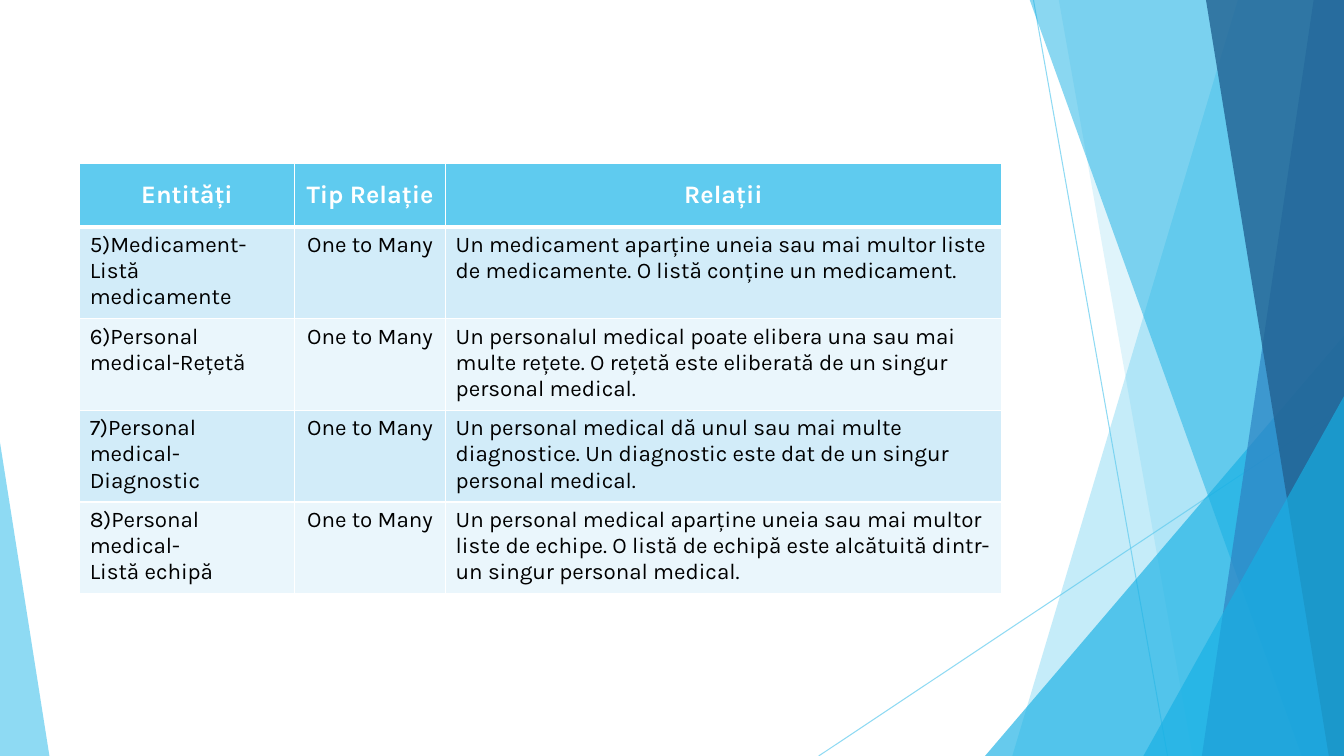
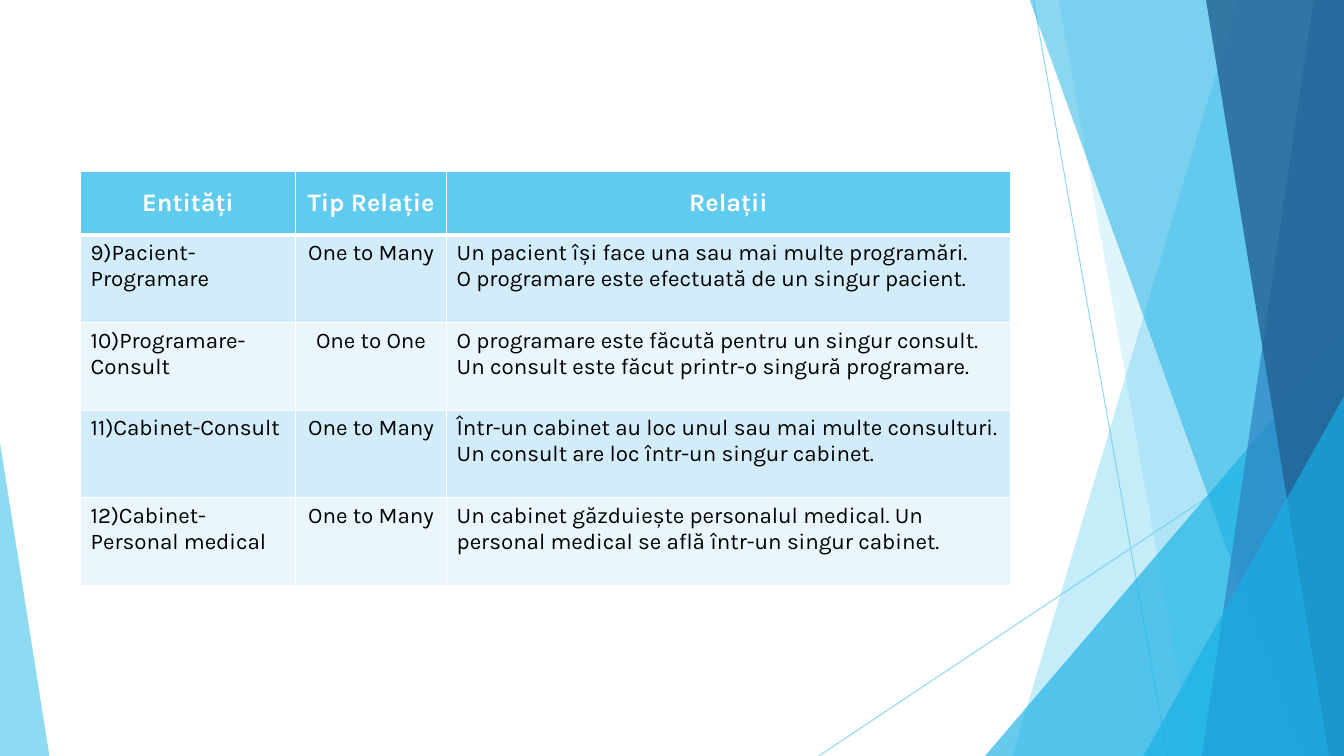
from dataclasses import dataclass

from lxml import etree
from pptx import Presentation
from pptx.dml.color import RGBColor
from pptx.enum.shapes import MSO_CONNECTOR, MSO_SHAPE
from pptx.enum.text import MSO_ANCHOR, PP_ALIGN
from pptx.oxml.ns import qn
from pptx.util import Emu, Pt

TRIANGLE = MSO_SHAPE.ISOSCELES_TRIANGLE
STRAIGHT = MSO_CONNECTOR.STRAIGHT
LEFT, CENTER = PP_ALIGN.LEFT, PP_ALIGN.CENTER
TOP, MIDDLE = MSO_ANCHOR.TOP, MSO_ANCHOR.MIDDLE

PX = 9144  # EMU per px, 100 px to the inch
SLIDE_W, SLIDE_H = 1333, 750
NBSP = chr(160)


@dataclass(frozen=True)
class Theme:
    font: str = "Karla"
    sky: str = "5FCBEF"
    cyan: str = "17B0E4"
    blue: str = "2E83C3"
    navy: str = "226292"
    band_dark: str = "D2ECF9"
    band_light: str = "EAF6FC"
    white: str = "FFFFFF"
    black: str = "000000"
    header_size: int = 18
    body_size: int = 16
    hairline: float = 0.75
    border: int = 1
    header_border: int = 3


THEME = Theme()


@dataclass(frozen=True)
class Ray:
    start: tuple[int, int]
    end: tuple[int, int]


@dataclass(frozen=True)
class Facet:
    """Full-height facet that reaches the right edge of the slide."""
    top_left: int
    bottom_left: int
    color: str
    opacity: int


@dataclass(frozen=True)
class Corner:
    """Right-angled triangle standing on the bottom edge, apex at 0 (left) or 1 (right)."""
    left: int
    top: int
    width: int
    apex: int
    color: str
    opacity: int


@dataclass(frozen=True)
class RelationTable:
    left: int
    top: int
    columns: tuple[int, ...]
    row_height: int
    rows: tuple[tuple[str, str, str], ...]


RAYS = (Ray((1025, 0), (1158, SLIDE_H)), Ray((SLIDE_W, 403), (812, SLIDE_H)))

FACETS = (
    Facet(1228, 1004, THEME.sky, 36),
    Facet(1050, 1183, THEME.sky, 20),
    Corner(977, 333, 356, 1, THEME.cyan, 66),
    Facet(1021, 1291, THEME.cyan, 50),
    Facet(1303, 1192, THEME.blue, 70),
    Facet(1196, 1318, THEME.navy, 80),
    Corner(1134, 393, 199, 1, THEME.cyan, 66),
    Corner(0, 439, 49, 0, THEME.sky, 70),
)

HEADERS = ("Entități", "Tip Relație", "Relații")
HEADER_HEIGHT = 63

TABLES = (
    RelationTable(79, 162, (213, 150, 551), 91, (
        ("5)Medicament-Listă medicamente", "One to Many",
         "Un medicament aparține uneia sau mai multor liste de medicamente. "
         "O listă conține un medicament."),
        ("6)Personal medical-Rețetă", "One to Many",
         "Un personalul medical poate elibera una sau mai multe rețete. "
         "O rețetă este eliberată de un singur personal medical."),
        ("7)Personal medical-Diagnostic", "One to Many",
         "Un personal medical dă unul sau mai multe diagnostice. "
         "Un diagnostic este dat de un singur personal medical."),
        (f"8)Personal medical-Listă{NBSP}echipă", "One to Many",
         "Un personal medical aparține uneia sau mai multor liste de echipe. "
         "O listă de echipă este alcătuită dintr-un singur personal medical."),
    )),
    RelationTable(80, 170, (213, 150, 559), 87, (
        ("9)Pacient-Programare", "One to Many",
         "Un pacient își face una sau mai multe programări.\n"
         "O programare este efectuată de un singur pacient."),
        ("10)Programare-Consult", "One to One",
         "O programare este făcută pentru un singur consult. "
         "Un consult este făcut printr-o singură programare."),
        ("11)Cabinet-Consult", "One to Many",
         "Într-un cabinet au loc unul sau mai multe consulturi. "
         "Un consult are loc într-un singur cabinet."),
        (f"12)Cabinet-Personal{NBSP}medical", "One to Many",
         "Un cabinet găzduiește personalul medical. "
         "Un personal medical se află într-un singur cabinet."),
    )),
)


def px(n: int) -> Emu:
    return Emu(n * PX)


def rgb(color: str) -> RGBColor:
    return RGBColor.from_string(color)


def set_opacity(sp, percent: int) -> None:
    for color in sp.element.iter(qn("a:srgbClr")):
        etree.SubElement(color, qn("a:alpha"), val=str(percent * 1000))


def set_text(tf, text: str, *, size: int, color: str, bold: bool = False,
             align=LEFT) -> None:
    """Write one paragraph for each line of text."""
    for i, line in enumerate(text.split("\n")):
        p = tf.add_paragraph() if i else tf.paragraphs[0]
        p.alignment = align
        r = p.add_run()
        r.text = line
        r.font.name = THEME.font
        r.font.size = Pt(size)
        r.font.bold = bold
        r.font.color.rgb = rgb(color)


def draw_ray(shapes, ray: Ray):
    sp = shapes.add_connector(STRAIGHT, *map(px, ray.start + ray.end))
    sp.line.color.rgb = rgb(THEME.sky)
    sp.line.width = Pt(THEME.hairline)
    set_opacity(sp, 70)
    etree.SubElement(sp.element.find(qn("p:spPr")), qn("a:effectLst"))
    return sp


def draw_facet(shapes, facet: Facet | Corner):
    if isinstance(facet, Corner):
        sp = shapes.add_shape(TRIANGLE, px(facet.left), px(facet.top),
                              px(facet.width), px(SLIDE_H - facet.top))
        sp.adjustments[0] = facet.apex
    else:
        outline = shapes.build_freeform(facet.top_left, -1, scale=PX)
        outline.add_line_segments(
            [(SLIDE_W, -1), (SLIDE_W, SLIDE_H), (facet.bottom_left, SLIDE_H)], close=True)
        sp = outline.convert_to_shape()
    sp.shadow.inherit = False
    sp.line.fill.background()
    sp.fill.solid()
    sp.fill.fore_color.rgb = rgb(facet.color)
    set_opacity(sp, facet.opacity)
    return sp


def decorate_layout(layout, slide) -> None:
    """Draw the shared facets on a slide, then move them to its layout."""
    tree = layout.shapes.element
    for ph in list(layout.placeholders):
        tree.remove(ph.element)
    art = [draw_ray(slide.shapes, ray) for ray in RAYS]
    art += [draw_facet(slide.shapes, facet) for facet in FACETS]
    for sp in art:
        tree.append(sp.element)


def set_borders(cell, *, top: int, bottom: int) -> None:
    tc_pr = cell._tc.get_or_add_tcPr()
    widths = {"L": THEME.border, "R": THEME.border, "T": top, "B": bottom}
    for side, width in widths.items():
        ln = etree.SubElement(tc_pr, qn(f"a:ln{side}"), w=str(Pt(width)))
        fill = etree.SubElement(ln, qn("a:solidFill"))
        etree.SubElement(fill, qn("a:srgbClr"), val=THEME.white)


def draw_table(shapes, spec_: RelationTable) -> None:
    rows = (HEADERS, *spec_.rows)
    heights = [HEADER_HEIGHT] + [spec_.row_height] * len(spec_.rows)
    table = shapes.add_table(len(rows), len(HEADERS), px(spec_.left), px(spec_.top),
                             px(sum(spec_.columns)), px(sum(heights))).table
    table.horz_banding = False
    for column, width in zip(table.columns, spec_.columns):
        column.width = px(width)
    for i, (texts, height) in enumerate(zip(rows, heights)):
        table.rows[i].height = px(height)
        header = i == 0
        band = THEME.sky if header else THEME.band_dark if i % 2 else THEME.band_light
        for j, text in enumerate(texts):
            cell = table.cell(i, j)
            set_borders(cell, top=THEME.header_border if i == 1 else THEME.border,
                        bottom=THEME.header_border if header else THEME.border)
            cell.fill.solid()
            cell.fill.fore_color.rgb = rgb(band)
            cell.vertical_anchor = MIDDLE if header else TOP
            set_text(cell.text_frame, text,
                     size=THEME.header_size if header else THEME.body_size,
                     color=THEME.white if header else THEME.black,
                     bold=header, align=CENTER if header or j == 1 else LEFT)


def main() -> None:
    prs = Presentation()
    prs.slide_width, prs.slide_height = px(SLIDE_W), px(SLIDE_H)
    layout = prs.slide_layouts[6]
    slides = [prs.slides.add_slide(layout) for _ in TABLES]
    decorate_layout(layout, slides[0])
    for s, relations in zip(slides, TABLES):
        draw_table(s.shapes, relations)
    prs.save("out.pptx")


if __name__ == "__main__":
    main()
